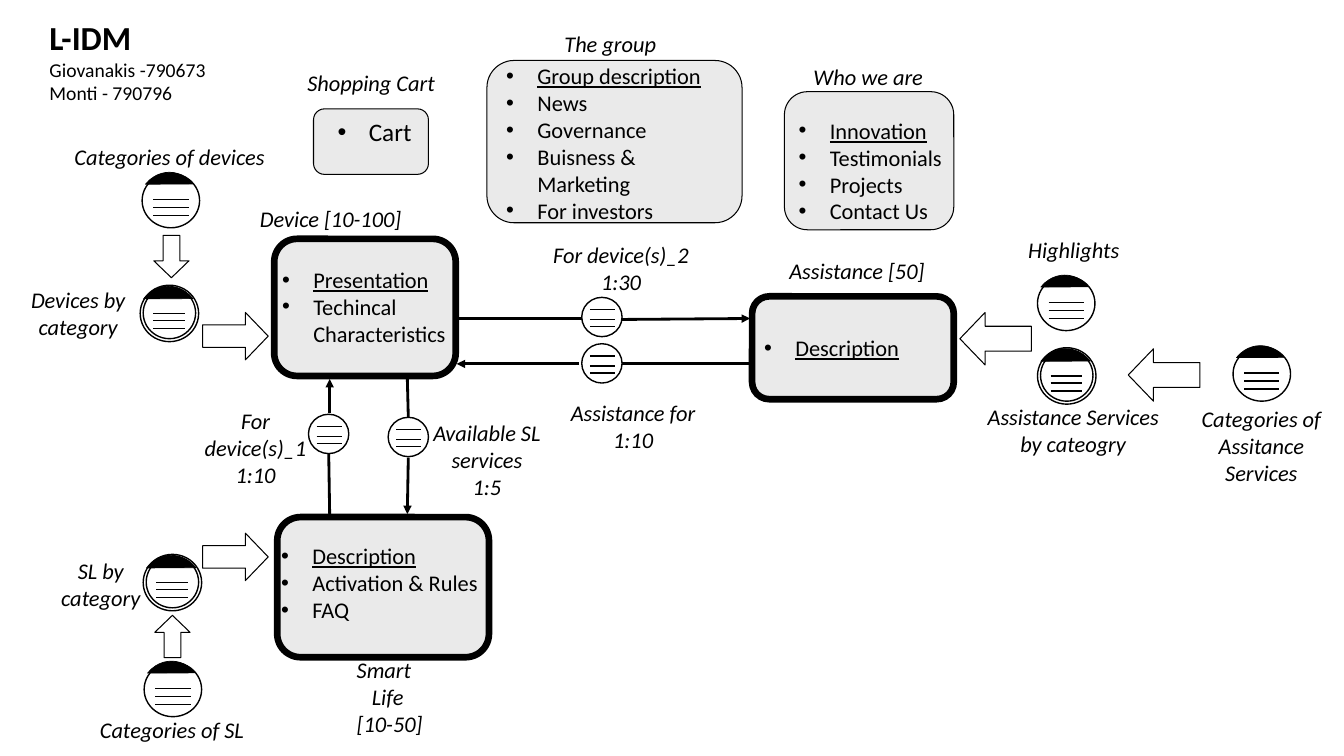
from dataclasses import dataclass

from lxml import etree
from pptx import Presentation
from pptx.dml.color import RGBColor
from pptx.enum.shapes import MSO_CONNECTOR, MSO_SHAPE
from pptx.enum.text import MSO_ANCHOR, MSO_AUTO_SIZE, PP_ALIGN
from pptx.oxml.ns import qn
from pptx.util import Cm, Pt

ROUND, OVAL = MSO_SHAPE.ROUNDED_RECTANGLE, MSO_SHAPE.OVAL
CHORD, ARROW = MSO_SHAPE.CHORD, MSO_SHAPE.RIGHT_ARROW
LINE = MSO_CONNECTOR.STRAIGHT
LEFT, MID = PP_ALIGN.LEFT, PP_ALIGN.CENTER
TOP, CENTRE = MSO_ANCHOR.TOP, MSO_ANCHOR.MIDDLE
GROW = MSO_AUTO_SIZE.SHAPE_TO_FIT_TEXT
BLACK, WHITE, GREY = "000000", "FFFFFF", "EAEAEA"
INDENT = 0.31


@dataclass
class Label:
    area: tuple
    lines: list
    align: PP_ALIGN = MID
    wrap: bool = False


@dataclass
class Points:
    area: tuple
    items: list
    wrap: bool = False
    size: int = 16
    lead: bool = True  # first item underlined
    tail: str = ""  # last line, without bullet


@dataclass
class Lens:
    size: tuple
    bar: tuple  # left and right end of the bars
    rows: tuple
    cap: tuple = ()
    ring: tuple = ()


SMALL = Lens((0.4, 0.39), (0.08, 0.33), (0.12, 0.22, 0.29))
PLAIN = Lens((0.57, 0.54), (0.11, 0.46), (0.26, 0.34, 0.42),
             cap=(-0.04, -0.01, 0.62, 0.67))
DOUBLE = Lens((0.58, 0.56), (0.13, 0.44), (0.28, 0.35, 0.43),
              cap=(-0.04, 0.01, 0.64, 0.7), ring=(0.03, 0.02, 0.52, 0.51))

LABELS = [
    Label((7.97, 0.58, 1.3, 0.37), ["Who we are"], LEFT),
    Label((2.48, 1.99, 1.62, 0.37), ["Device [10-100]"], LEFT),
    Label((0.2, 2.79, 1.15, 0.64), ["Devices by", "category"]),
    Label((0.88, 7.06, 1.65, 0.37), ["Categories of SL"]),
    Label((1.81, 3.99, 1.45, 1.18), ["For device(s)_1", "1:10"], wrap=True),
    Label((5.23, 2.34, 1.86, 0.64), ["For device(s)_2", "1:30"], wrap=True),
    Label((7.73, 2.5, 1.56, 0.37), ["Assistance [50]"], LEFT),
    Label((4.1, 4.11, 1.46, 0.91), ["Available SL services", "1:5"], wrap=True),
    Label((5.45, 3.91, 1.66, 0.64), ["Assistance for", "1:10"], wrap=True),
    Label((11.65, 3.97, 1.72, 0.91), ["Categories of", "Assitance Services"], wrap=True),
    Label((9.66, 3.95, 1.97, 0.64), ["Assistance Services", "by cateogry"]),
    Label((5.5, 0.25, 1.13, 0.37), ["The group"], LEFT),
    Label((0.64, 1.37, 2.11, 0.37), ["Categories of devices"], LEFT),
    Label((0.5, 5.48, 1, 0.64), ["SL by", "category"]),
    Label((10.09, 2.29, 1.12, 0.37), ["Highlights"]),
    Label((2.95, 0.64, 1.49, 0.37), ["Shopping Cart"], LEFT),
]
BOXES = [  # area, line width
    ((4.83, 0.6, 2.53, 1.61), 0.75), ((7.78, 0.91, 1.68, 1.37), 0.75),
    ((3.11, 1.08, 1.14, 0.65), 0.75), ((2.72, 2.37, 1.8, 1.36), 4.75),
    ((2.75, 5.13, 2.1, 1.39), 4.75),
]
LISTS = [  # the first two use the body placeholders
    Points((4.92, 0.57, 2.34, 1.72), ["Group description", "News", "Governance",
           "Buisness & Marketing", "For investors"], wrap=True),
    Points((7.82, 1.11, 1.64, 1.48),
           ["Innovation", "Testimonials", "Projects", "Contact Us"]),
    Points((2.7, 2.59, 1.84, 1.21), ["Presentation", "Techincal"], tail="Characteristics"),
    Points((2.69, 5.33, 2.18, 0.91), ["Description", "Activation & Rules", "FAQ"]),
    Points((3.25, 1.11, 1.03, 0.4), ["Cart"], wrap=True, size=18, lead=False),
]
HELP = Points((7.46, 2.94, 2, 1.02), ["Description"])
ARROWS = [  # area, turn
    ((2.01, 3.1, 0.65, 0.47), 0), ((2.01, 5.29, 0.65, 0.47), 0),
    ((1.49, 2.37, 0.42, 0.35), 90), ((1.5, 6.14, 0.42, 0.35), 270),
    ((9.52, 3.1, 0.71, 0.52), 180), ((11.19, 3.46, 0.71, 0.52), 180),
]
LINKS = [  # from, to, arrowhead
    ((3.27, 4.1), (3.27, 3.76), True), ((3.26, 4.48), (3.27, 5.1), False),
    ((4.04, 3.75), (4.05, 4.14), False), ((4.05, 4.54), (4.04, 5.1), True),
    ((5.74, 3.61), (4.53, 3.61), True), ((7.43, 3.61), (6.17, 3.61), False),
    ((6.1, 3.17), (7.44, 3.16), True), ((5.77, 3.16), (4.51, 3.16), False),
]
MARKS = [
    (SMALL, [(5.77, 3.41), (5.77, 2.95), (3.85, 4.14), (3.06, 4.11)]),
    (PLAIN, [(12.23, 3.44), (10.29, 2.74), (1.41, 1.72), (1.43, 6.57)]),
    (DOUBLE, [(10.29, 3.45), (1.39, 2.83), (1.42, 5.5)]),
]


def to_cm(*inches: float) -> list:
    return [Cm(n * 2.54) for n in inches]


def paint(fill, tone: str) -> None:
    fill.solid()
    fill.fore_color.rgb = RGBColor.from_string(tone)


def draw(shapes, kind, area: tuple, tone: str, width: float):
    shape = shapes.add_shape(kind, *to_cm(*area))
    shape.shadow.inherit = False
    if tone:
        paint(shape.fill, tone)
    else:
        shape.fill.background()
    paint(shape.line.fill, BLACK)
    shape.line.width = Pt(width)
    return shape


def link(shapes, start: tuple, end: tuple, width: float, head: bool = False) -> None:
    line = shapes.add_connector(LINE, *to_cm(*start, *end))
    paint(line.line.fill, BLACK)
    line.line.width = Pt(width)
    if head:
        etree.SubElement(line.line._get_or_add_ln(), qn("a:tailEnd"), type="triangle")
    etree.SubElement(line._element.spPr, qn("a:effectLst"))


def write(para, text: str, size: int, **style) -> None:
    run = para.add_run()
    run.text = text
    run.font.name, run.font.size = "Calibri", Pt(size)
    paint(run.font.fill, BLACK)
    for name, value in style.items():
        setattr(run.font, name, value)


def lay(frame, count: int, align, wrap: bool) -> list:
    frame.word_wrap = wrap
    paras = [frame.paragraphs[0]] + [frame.add_paragraph() for _ in range(count - 1)]
    for para in paras:
        para.alignment, para.space_before = align, Pt(0)
    return paras


def indent(para, left: float, first: float, dot: bool) -> None:
    props = para._p.get_or_add_pPr()
    props.set("marL", str(to_cm(left)[0]))
    props.set("indent", str(to_cm(first)[0]))
    if dot:
        etree.SubElement(props, qn("a:buFont"), typeface="Arial")
        etree.SubElement(props, qn("a:buChar"), char="•")
    else:
        etree.SubElement(props, qn("a:buNone"))


def place(shape, area: tuple) -> None:
    shape.left, shape.top, shape.width, shape.height = to_cm(*area)


def add_label(shapes, label: Label) -> list:
    frame = shapes.add_textbox(*to_cm(*label.area)).text_frame
    frame.auto_size = GROW
    paras = lay(frame, len(label.lines), label.align, label.wrap)
    for para, text in zip(paras, label.lines):
        write(para, text, 16, italic=True)
    return paras


def fill_list(frame, points: Points) -> None:
    texts = points.items + ([points.tail] if points.tail else [])
    paras = lay(frame, len(texts), LEFT, points.wrap)
    for n, (para, text) in enumerate(zip(paras, texts)):
        dot = n < len(points.items)
        indent(para, INDENT, -INDENT if dot else 0, dot)
        write(para, text, points.size, underline=points.lead and n == 0)


def add_lens(shapes, lens: Lens, left: float, top: float) -> None:
    group = shapes.add_group_shape().shapes
    draw(group, OVAL, (left, top, *lens.size), WHITE, 1)
    if lens.ring:
        x, y, *size = lens.ring
        draw(group, OVAL, (left + x, top + y, *size), WHITE, 1)
    for row in lens.rows:
        link(group, *[(left + x, top + row) for x in lens.bar], width=1)
    if lens.cap:
        x, y, *size = lens.cap
        cap = draw(group, CHORD, (left + x, top + y, *size), BLACK, 0.5)
        cap.adjustments[0], cap.adjustments[1] = 133.506, 190.193


def main() -> None:
    deck = Presentation()
    deck.slide_width, deck.slide_height = to_cm(13.33, 7.5)
    slide = deck.slides.add_slide(deck.slide_layouts[3])
    shapes = slide.shapes

    # Title and authors
    title = shapes.title
    place(title, (0.39, 0.12, 2.68, 1.38))
    title.text_frame.vertical_anchor = TOP
    title.text_frame.auto_size = GROW
    para = lay(title.text_frame, 1, LEFT, True)[0]
    write(para, "L-IDM", 24, bold=True)
    for name in ("Giovanakis -790673", "Monti - 790796"):
        para.add_line_break()
        write(para, name, 14, bold=False)

    # Boxes and their lists
    for area, width in BOXES:
        draw(shapes, ROUND, area, GREY, width)
    bodies = [slide.placeholders[1], slide.placeholders[2]]
    for points in LISTS:
        if bodies:
            box = bodies.pop(0)
            place(box, points.area)
            shapes._spTree.append(box._element)  # in front of its box
        else:
            box = shapes.add_textbox(*to_cm(*points.area))
        box.text_frame.auto_size = GROW
        fill_list(box.text_frame, points)
    frame = draw(shapes, ROUND, HELP.area, GREY, 4.75).text_frame
    frame.vertical_anchor = CENTRE
    frame.margin_left, frame.margin_right = to_cm(0.07, 0.07)
    frame.margin_top, frame.margin_bottom = to_cm(0.03, 0.03)
    fill_list(frame, HELP)

    # Labels
    for label in LABELS:
        add_label(shapes, label)
    smart = Label((3.44, 6.46, 0.86, 0.91), ["Smart", "Life", "[10-50]"], LEFT)
    indent(add_label(shapes, smart)[1], 0.15, 0, False)

    # Arrows, links and lenses
    for area, turn in ARROWS:
        arrow = draw(shapes, ARROW, area, "", 0.75)
        arrow.adjustments[0], arrow.adjustments[1] = 0.475, 0.48
        arrow.rotation = turn
    for start, end, head in LINKS:
        link(shapes, start, end, 2, head)
    for lens, spots in MARKS:
        for spot in spots:
            add_lens(shapes, lens, *spot)

    deck.save("out.pptx")


if __name__ == "__main__":
    main()
